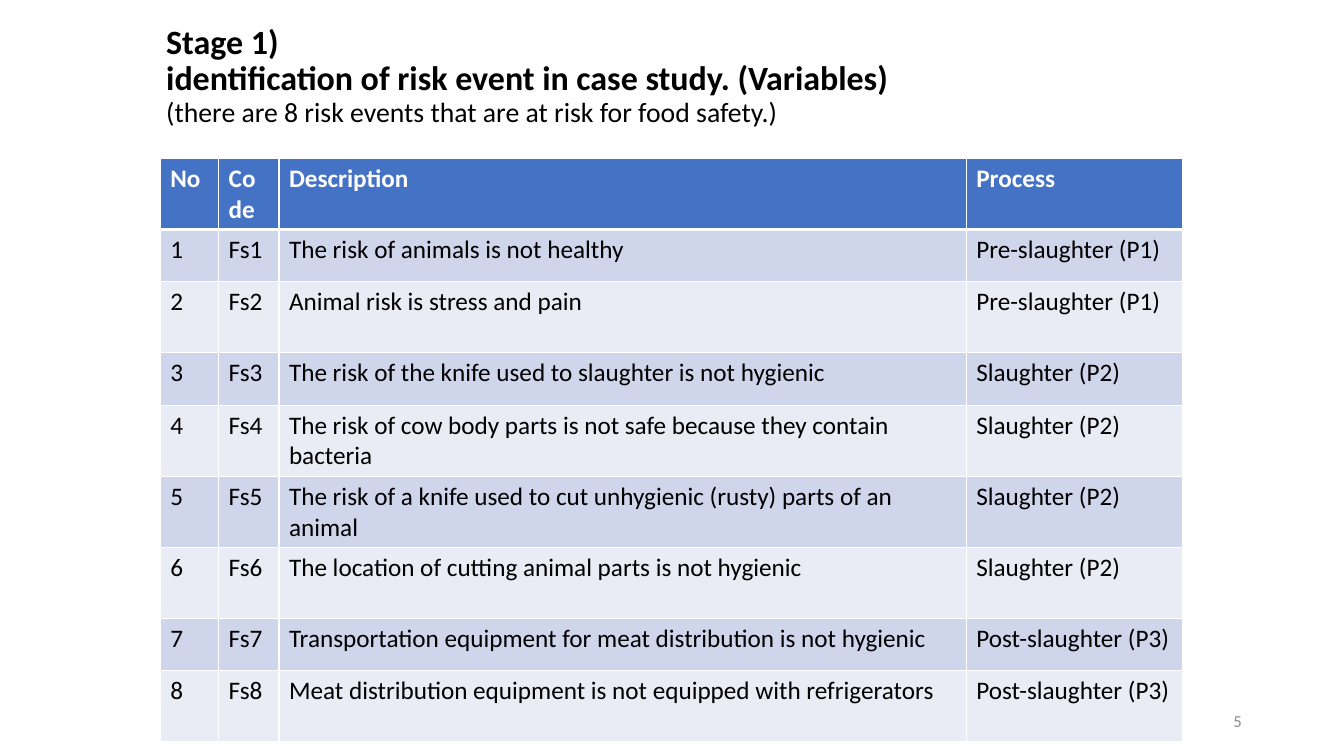
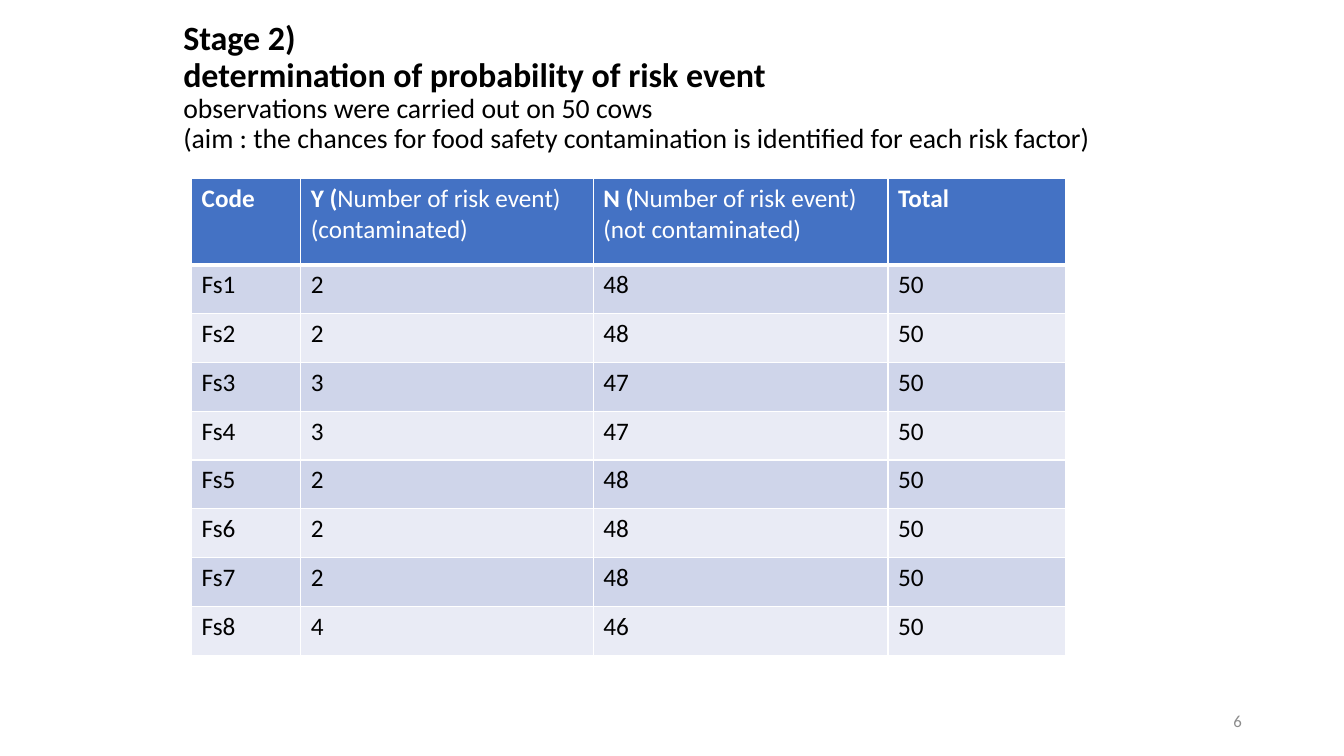
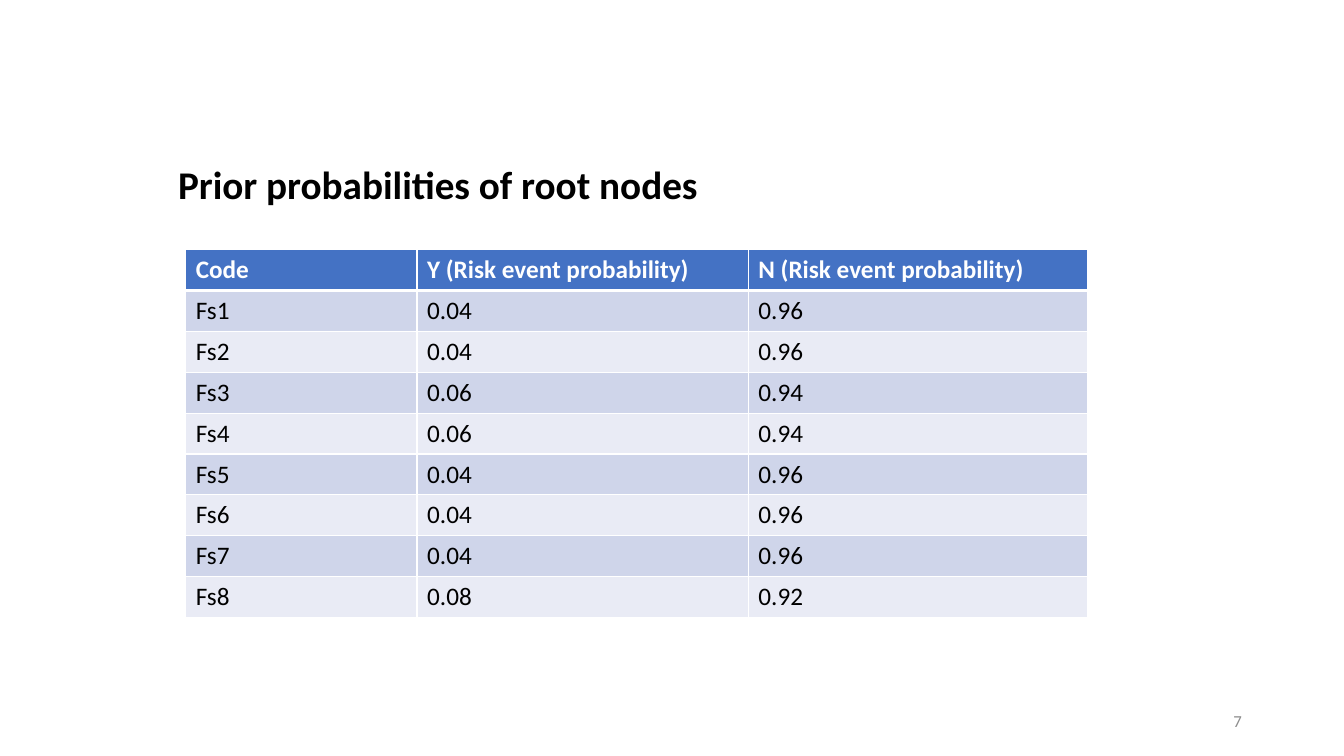
from dataclasses import dataclass

import pptx
import pptx.dml.color
import pptx.enum.text
import pptx.oxml.ns
import pptx.util
from lxml import etree

Cm = pptx.util.Cm
Pt = pptx.util.Pt
ALIGN = pptx.enum.text.PP_ALIGN
ANCHOR = pptx.enum.text.MSO_ANCHOR


@dataclass(frozen=True)
class Theme:
    font: str = "Calibri"
    ink: str = "000000"
    white: str = "FFFFFF"
    muted: str = "8C8C8C"
    header: str = "4472C4"
    bands: tuple = ("CFD5EA", "E9EBF5")
    heading: float = 28
    title: float = 24.3
    subtitle: float = 19.8
    body: float = 18
    footer: float = 12
    rule: float = 1
    header_rule: float = 3


class Deck:
    def __init__(self, theme):
        self.theme = theme
        self.prs = pptx.Presentation()
        self.prs.slide_width = Cm(33.87)
        self.prs.slide_height = Cm(19.05)
        self.s = None

    def slide(self, number):
        self.s = self.prs.slides.add_slide(self.prs.slide_layouts[6])
        tf = self.text_frame(23.93, 17.65, 7.62, 1.02, ANCHOR.MIDDLE)
        p = tf.paragraphs[0]
        p.alignment = ALIGN.RIGHT
        self.run(p, str(number), self.theme.footer, self.theme.muted)

    def text_frame(self, left, top, width, height, anchor):
        sp = self.s.shapes.add_textbox(Cm(left), Cm(top), Cm(width), Cm(height))
        tf = sp.text_frame
        tf.word_wrap = True
        tf.vertical_anchor = anchor
        return tf

    def run(self, p, text, size, color, bold=False):
        r = p.add_run()
        r.text = text
        r.font.name = self.theme.font
        r.font.size = Pt(size)
        r.font.bold = bold
        r.font.color.rgb = pptx.dml.color.RGBColor.from_string(color)

    def paragraphs(self, tf, count):
        """Return the frame's paragraphs, extended to the given count."""
        for _ in range(count - 1):
            tf.add_paragraph()
        return tf.paragraphs

    def title(self, left, top, width, height, lines, notes=(), size=None):
        """Bold title lines followed by smaller, regular lines."""
        t = self.theme
        styled = [(line, size or t.title, True) for line in lines]
        styled += [(line, t.subtitle, False) for line in notes]
        tf = self.text_frame(left, top, width, height, ANCHOR.TOP)
        for p, (text, pts, bold) in zip(self.paragraphs(tf, len(styled)), styled):
            p.line_spacing = 0.9
            self.run(p, text, pts, t.ink, bold)

    def table(self, left, top, widths, heights, rows):
        """Table whose first row is the header; a cell is a string or a list
        of paragraphs, each a list of (text, bold) runs."""
        t = self.theme
        frame = self.s.shapes.add_table(len(rows), len(widths), Cm(left), Cm(top),
                                        Cm(sum(widths)), Cm(sum(heights)))
        tbl = frame.table
        for column, width in zip(tbl.columns, widths):
            column.width = Cm(width)
        for i, (row, height, values) in enumerate(zip(tbl.rows, heights, rows)):
            row.height = Cm(height)
            fill = t.bands[(i - 1) % 2] if i else t.header
            color = t.ink if i else t.white
            top_rule = t.header_rule if i == 1 else t.rule
            bottom_rule = t.rule if i else t.header_rule
            for cell, value in zip(row.cells, values):
                self.borders(cell, L=t.rule, R=t.rule, T=top_rule, B=bottom_rule)
                cell.fill.solid()
                cell.fill.fore_color.rgb = pptx.dml.color.RGBColor.from_string(fill)
                content = [[(value, i == 0)]] if isinstance(value, str) else value
                for p, runs in zip(self.paragraphs(cell.text_frame, len(content)), content):
                    for text, bold in runs:
                        self.run(p, text, t.body, color, bold)

    def borders(self, cell, **weights):
        qn = pptx.oxml.ns.qn
        tc_pr = cell._tc.get_or_add_tcPr()
        for side, weight in weights.items():
            ln = etree.SubElement(tc_pr, qn("a:ln" + side), w=str(Pt(weight)))
            fill = etree.SubElement(ln, qn("a:solidFill"))
            etree.SubElement(fill, qn("a:srgbClr"), val=self.theme.white)


PRE, DURING, POST = "Pre-slaughter (P1)", "Slaughter (P2)", "Post-slaughter (P3)"
COWS = 50
# description, process, contaminated cows
RISKS = [
    ("The risk of animals is not healthy", PRE, 2),
    ("Animal risk is stress and pain", PRE, 2),
    ("The risk of the knife used to slaughter is not hygienic", DURING, 3),
    ("The risk of cow body parts is not safe because they contain bacteria", DURING, 3),
    ("The risk of a knife used to cut unhygienic (rusty) parts of an animal", DURING, 2),
    ("The location of cutting animal parts is not hygienic", DURING, 2),
    ("Transportation equipment for meat distribution is not hygienic", POST, 2),
    ("Meat distribution equipment is not equipped with refrigerators", POST, 4),
]


def count_header(letter, outcome):
    return [[(letter + " (", True), ("Number of risk event)", False)],
            [(outcome, False)]]


def risk_events(deck):
    deck.slide(5)
    deck.title(3.94, 0.5, 25.7, 2.9,
               ["Stage 1)", "identification of risk event in case study. (Variables)"],
               ["(there are 8 risk events that are at risk for food safety.)"])
    low, high = 1.32, 1.79
    rows = [["No", "Code", "Description", "Process"]]
    rows += [[str(n), f"Fs{n}", text, process]
             for n, (text, process, _) in enumerate(RISKS, 1)]
    deck.table(4.04, 3.99, [1.47, 1.52, 17.32, 5.44],
               [high, low, high, low, high, high, high, low, high], rows)


def observations(deck):
    deck.slide(6)
    deck.title(4.37, 0.42, 24.59, 3.65,
               ["Stage 2)", "determination of probability of risk event"],
               ["observations were carried out on 50 cows",
                "(aim : the chances for food safety contamination is identified "
                "for each risk factor)"])
    rows = [["Code", count_header("Y", "(contaminated)"),
             count_header("N", "(not contaminated)"), "Total"]]
    rows += [[f"Fs{n}", str(hit), str(COWS - hit), str(COWS)]
             for n, (_, _, hit) in enumerate(RISKS, 1)]
    deck.table(4.83, 4.5, [2.75, 7.37, 7.43, 4.48],
               [2.17] + [1.23] * len(RISKS), rows)


def prior_probabilities(deck):
    deck.slide(7)
    deck.title(4.24, 4.06, 25.4, 1.35, ["Prior probabilities of root nodes"],
               size=deck.theme.heading)
    rows = [["Code", "Y (Risk event probability)", "N (Risk event probability)"]]
    rows += [[f"Fs{n}", f"{hit / COWS:.2f}", f"{1 - hit / COWS:.2f}"]
             for n, (_, _, hit) in enumerate(RISKS, 1)]
    deck.table(4.68, 6.29, [5.83, 8.35, 8.56], [1.03] * len(rows), rows)


def main():
    deck = Deck(Theme())
    risk_events(deck)
    observations(deck)
    prior_probabilities(deck)
    deck.prs.save("out.pptx")


if __name__ == "__main__":
    main()
